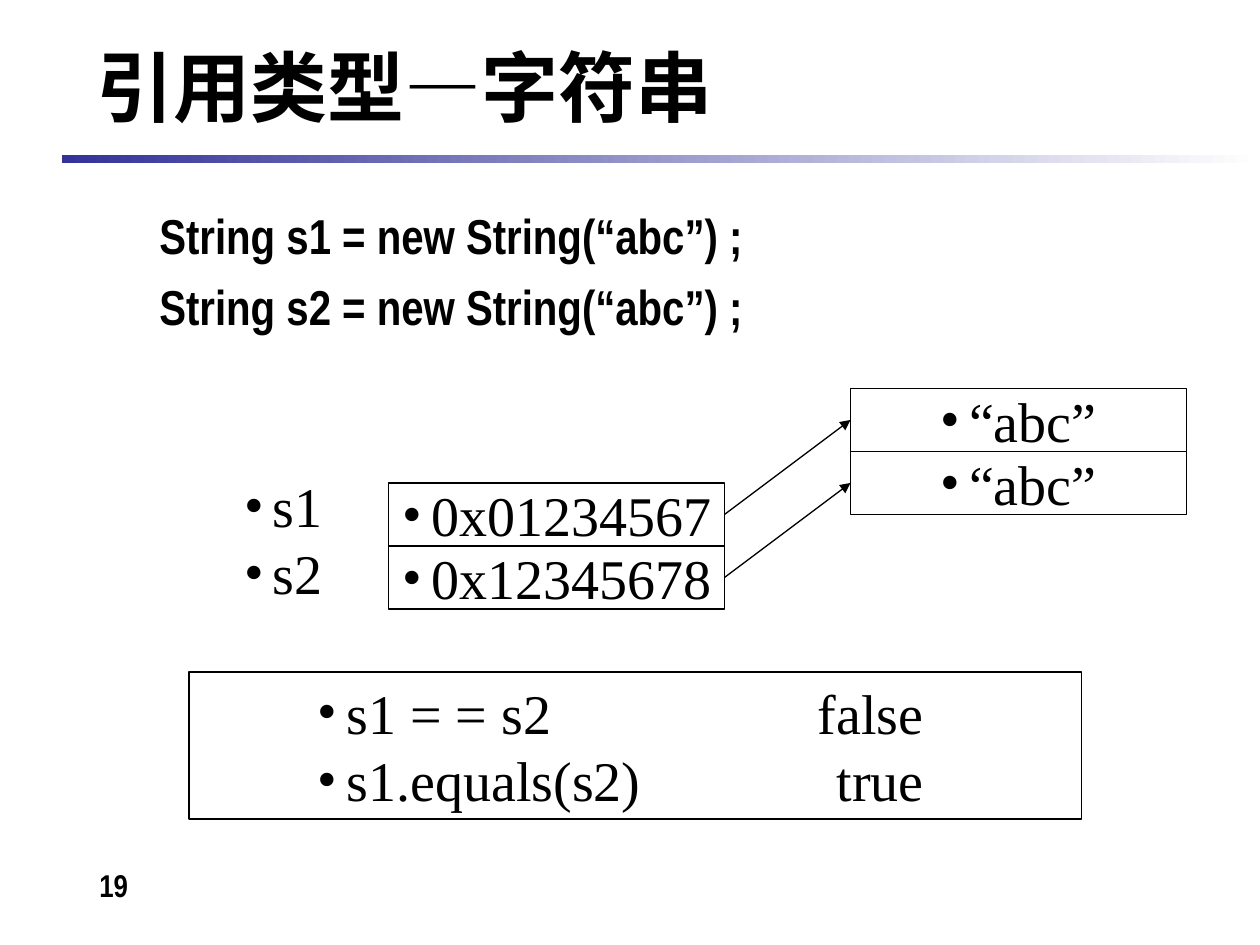
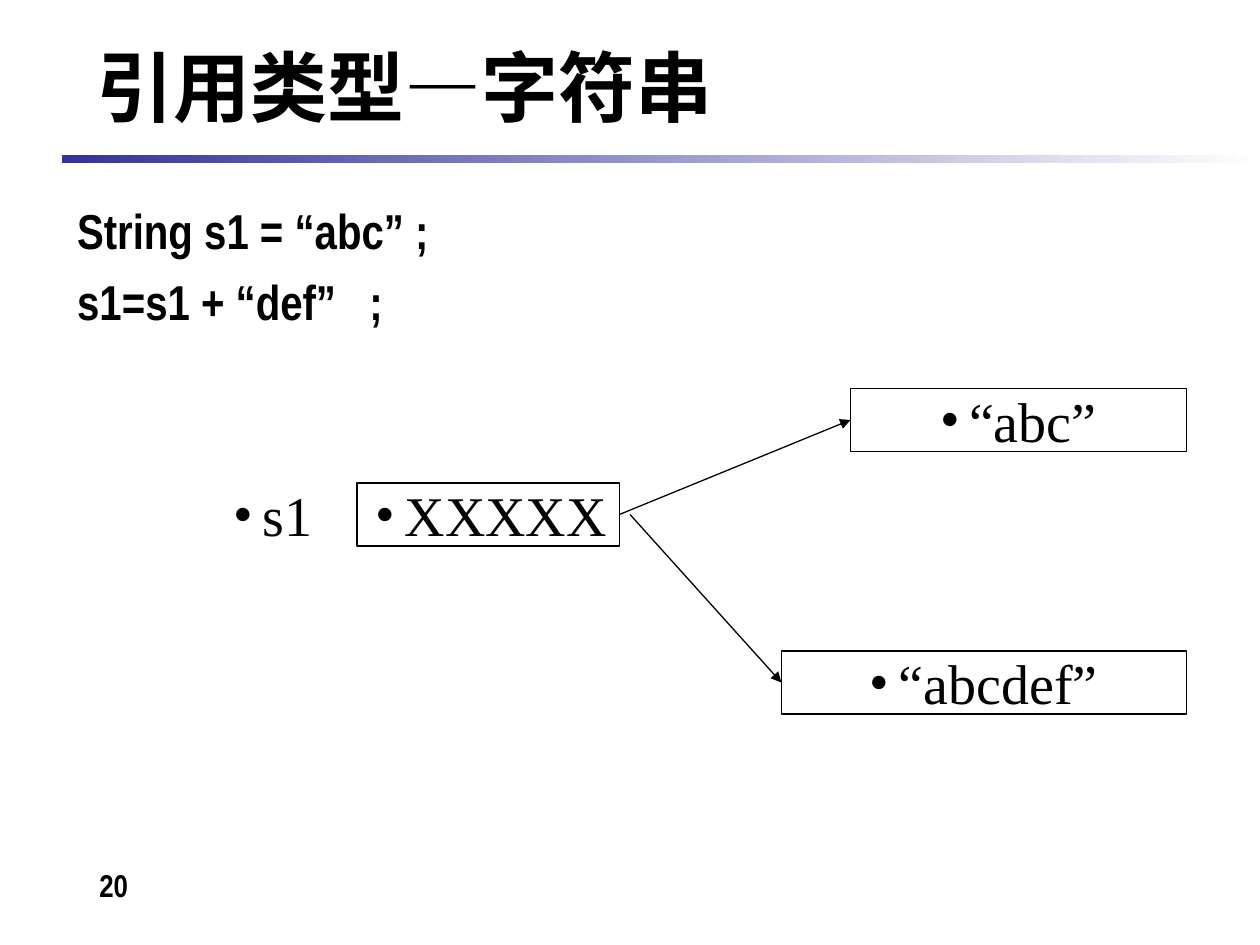
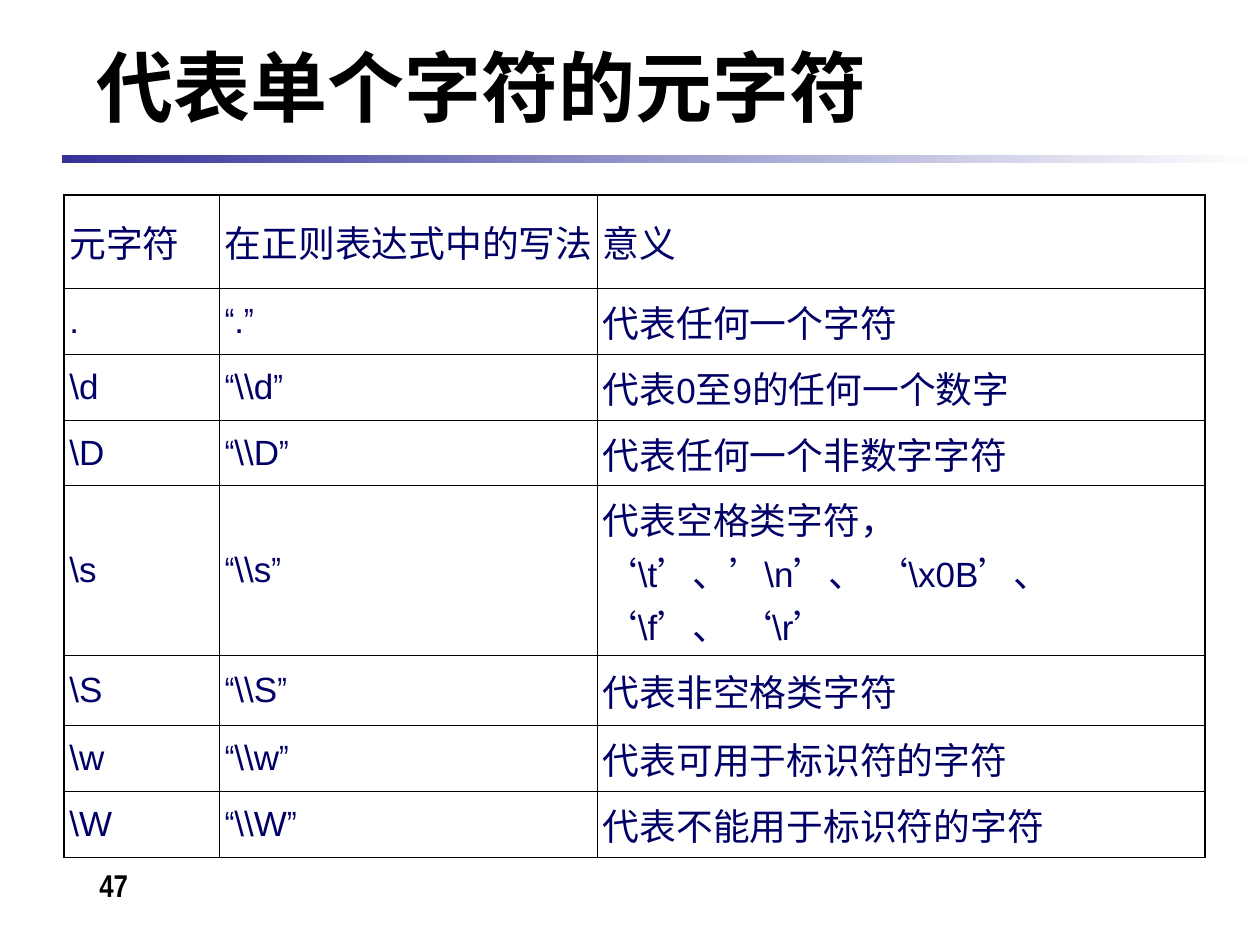
from lxml.etree import SubElement
from pptx import Presentation
from pptx.dml.color import RGBColor
from pptx.enum.shapes import MSO_CONNECTOR, MSO_SHAPE
from pptx.enum.text import MSO_ANCHOR, PP_ALIGN
from pptx.oxml.ns import qn
from pptx.util import Pt

COLORS = {"ink": "000000", "band": "333399", "paper": "FFFFFF", "table": "000066"}
NARROW, SERIF, SANS, CJK = "Arial Narrow", "Times New Roman", "Arial", "Noto Sans CJK SC"
THIN, THICK = 0.45, 1.08
ROW_H = 36
BULLET_W = 16.5


def color(name):
    return RGBColor.from_string(COLORS[name])


def style(r, size, font, ink="ink", bold=False):
    r.font.size, r.font.name, r.font.bold = Pt(size), font, bold
    r.font.color.rgb = color(ink)
    SubElement(r._r.get_or_add_rPr(), qn("a:ea"), typeface=CJK)


def add_bullet(p, left=0):
    pPr = p._p.get_or_add_pPr()
    pPr.set("marL", str(Pt(left + BULLET_W)))
    pPr.set("indent", str(-Pt(BULLET_W)))
    SubElement(SubElement(pPr, qn("a:buClr")), qn("a:srgbClr"), val=COLORS["ink"])
    SubElement(pPr, qn("a:buFont"), typeface=SERIF)
    SubElement(pPr, qn("a:buChar"), char="•")


def add_tab(p, pos, align):
    tabs = SubElement(p._p.get_or_add_pPr(), qn("a:tabLst"))
    SubElement(tabs, qn("a:tab"), pos=str(Pt(pos)), algn=align)


def text_box(s, box, lines, size, font=NARROW, bold=True, align=PP_ALIGN.LEFT,
             anchor=MSO_ANCHOR.TOP, before=0):
    tf = s.shapes.add_textbox(*map(Pt, box)).text_frame
    tf.word_wrap, tf.vertical_anchor = True, anchor
    tf.text = "\n".join(lines)
    for p in tf.paragraphs:
        p.alignment, p.space_before = align, Pt(before)
        for r in p.runs:
            style(r, size, font, bold=bold)
    return tf


def frame(s, title, number):
    """Title, gradient band and slide number."""
    band = s.shapes.add_shape(MSO_SHAPE.RECTANGLE, Pt(35.5), Pt(88.5), Pt(684.5), Pt(4.5))
    band.shadow.inherit = False
    band.line.fill.background()
    band.fill.gradient()
    band.fill.gradient_angle = 0
    for stop, name in zip(band.fill.gradient_stops, ("band", "paper")):
        stop.color.rgb = color(name)
    text_box(s, (48.2, 15, 618, 68), [title], 44, anchor=MSO_ANCHOR.MIDDLE)
    text_box(s, (14, 491.5, 102, 37.5), [str(number)], 18, align=PP_ALIGN.CENTER)


def code(s, box, lines):
    return text_box(s, box, lines, 28, before=7)


def bullets(s, box, lines, align=PP_ALIGN.CENTER, outlined=True, wrap=False, left=0):
    sp = s.shapes.add_shape(MSO_SHAPE.RECTANGLE, *map(Pt, box))
    sp.shadow.inherit = False
    sp.fill.background()
    if outlined:
        sp.line.color.rgb, sp.line.width = color("ink"), Pt(0.75)
    else:
        sp.line.fill.background()
    tf = sp.text_frame
    tf.word_wrap, tf.vertical_anchor = wrap, MSO_ANCHOR.MIDDLE
    tf.text = "\n".join(lines)
    for p in tf.paragraphs:
        p.alignment = align
        add_bullet(p, left)
        for r in p.runs:
            style(r, 32, SERIF)
    return tf


def memory(s, x, y, w, values, align=PP_ALIGN.CENTER):
    """Stack of one-value memory cells."""
    for i, value in enumerate(values):
        bullets(s, (x, y + i * ROW_H, w, ROW_H), [value], align)


def arrow(s, x1, y1, x2, y2):
    c = s.shapes.add_connector(MSO_CONNECTOR.STRAIGHT, *map(Pt, (x1, y1, x2, y2)))
    c.line.color.rgb, c.line.width = color("ink"), Pt(0.75)
    SubElement(c.line._get_or_add_ln(), qn("a:tailEnd"), type="triangle")
    SubElement(c._element.spPr, qn("a:effectLst"))


def results(s, box, lines):
    """Framed comparisons with their values set flush right."""
    tf = bullets(s, box, lines, PP_ALIGN.LEFT, wrap=True, left=66.5)
    for p in tf.paragraphs:
        add_tab(p, 428.5, "r")


def two_strings(s):
    frame(s, "引用类型—字符串", 19)
    code(s, (84, 114, 381, 89), [f"String s{n} = new String(“abc”) ;" for n in (1, 2)])
    bullets(s, (126, 267.5, 72, 81), ["s1", "s2"], outlined=False)
    memory(s, 222, 276, 192, ["0x01234567", "0x12345678"], PP_ALIGN.RIGHT)
    memory(s, 486, 222, 192, ["“abc”"] * 2)
    for i in range(2):
        arrow(s, 414, 294 + i * ROW_H, 486, 240 + i * ROW_H)
    results(s, (108, 384, 510, 84), ["s1 = = s2\tfalse", "s1.equals(s2)\ttrue"])


def appended_string(s):
    frame(s, "引用类型—字符串", 20)
    tf = code(s, (37, 111, 345, 98.5), ["String s1 = “abc” ;", "s1=s1 + “def”\t;"])
    add_tab(tf.paragraphs[1], 167, "l")
    bullets(s, (120, 276, 72, ROW_H), ["s1"], outlined=False)
    memory(s, 204, 276, 150, ["XXXXX"], PP_ALIGN.RIGHT)
    memory(s, 486, 222, 192, ["“abc”"])
    memory(s, 446.5, 372, 231.5, ["“abcdef”"])
    arrow(s, 354, 294, 486, 240)
    arrow(s, 360, 294, 446.5, 390)


def is_cjk(ch):
    return ch >= "一" or ch == "、"


def split_fonts(text):
    """Split text into (part, size, font) where the kind of character changes."""
    parts = []
    for ch in text:
        kind = (21, CJK) if is_cjk(ch) else (20, NARROW) if ch in "“”‘’" else (20, SANS)
        if parts and parts[-1][1:] == kind:
            parts[-1] = (parts[-1][0] + ch, *kind)
        else:
            parts.append((ch, *kind))
    return parts


def set_borders(cell, widths):
    tcPr = cell._tc.get_or_add_tcPr()
    for i, (side, width) in enumerate(zip("LRTB", widths)):
        ln = tcPr.makeelement(qn(f"a:ln{side}"), {"w": str(Pt(width))})
        fill = SubElement(ln, qn("a:solidFill"))
        SubElement(fill, qn("a:srgbClr"), val=COLORS["ink"])
        tcPr.insert(i, ln)


def fill_cell(cell, text):
    cell.fill.background()
    cell.vertical_anchor = MSO_ANCHOR.MIDDLE
    cell.margin_left = cell.margin_right = Pt(2.9)
    cell.margin_top = cell.margin_bottom = Pt(3.6)
    p = cell.text_frame.paragraphs[0]
    p.space_before = Pt(5)
    for i, line in enumerate(text.split("\n")):
        if i:
            p.add_line_break()
        for part, size, font in split_fonts(line):
            r = p.add_run()
            r.text = part
            style(r, size, font, "table")


def metachar_table(s, box, rows, col_widths, row_heights):
    table = s.shapes.add_table(len(rows), len(col_widths), *map(Pt, box)).table
    table.first_row = table.horz_banding = False
    for column, width in zip(table.columns, col_widths):
        column.width = Pt(width)
    for row, height in zip(table.rows, row_heights):
        row.height = Pt(height)
    last_row, last_col = len(rows) - 1, len(col_widths) - 1
    for i, row in enumerate(rows):
        for j, text in enumerate(row):
            cell = table.cell(i, j)
            fill_cell(cell, text)
            edges = (j == 0, j == last_col, i == 0, i == last_row)
            set_borders(cell, [THICK if edge else THIN for edge in edges])


def metacharacters(s):
    frame(s, "代表单个字符的元字符", 47)
    meanings = {
        ".": "代表任何一个字符",
        r"\d": "代表0至9的任何一个数字",
        r"\D": "代表任何一个非数字字符",
        r"\s": "代表空格类字符，\n‘\\t’、’\\n’、 ‘\\x0B’、\n‘\\f’、 ‘\\r’",
        r"\S": "代表非空格类字符",
        r"\w": "代表可用于标识符的字符",
        r"\W": "代表不能用于标识符的字符",
    }
    rows = [("元字符", "在正则表达式中的写法", "意义")]
    for char, meaning in meanings.items():
        escaped = char.replace("\\", "\\\\")
        rows.append((char, f"“{escaped}”", meaning))
    metachar_table(s, (36.7, 111.5, 651.9, 378.5), rows, (88.9, 216, 347),
                   (53.5, 37.6, 37.6, 37.4, 97.2, 40, 37.6, 37.6))


def main():
    prs = Presentation()
    prs.slide_width, prs.slide_height = Pt(720), Pt(540)
    for build in (two_strings, appended_string, metacharacters):
        build(prs.slides.add_slide(prs.slide_layouts[6]))
    prs.save("out.pptx")


if __name__ == "__main__":
    main()
